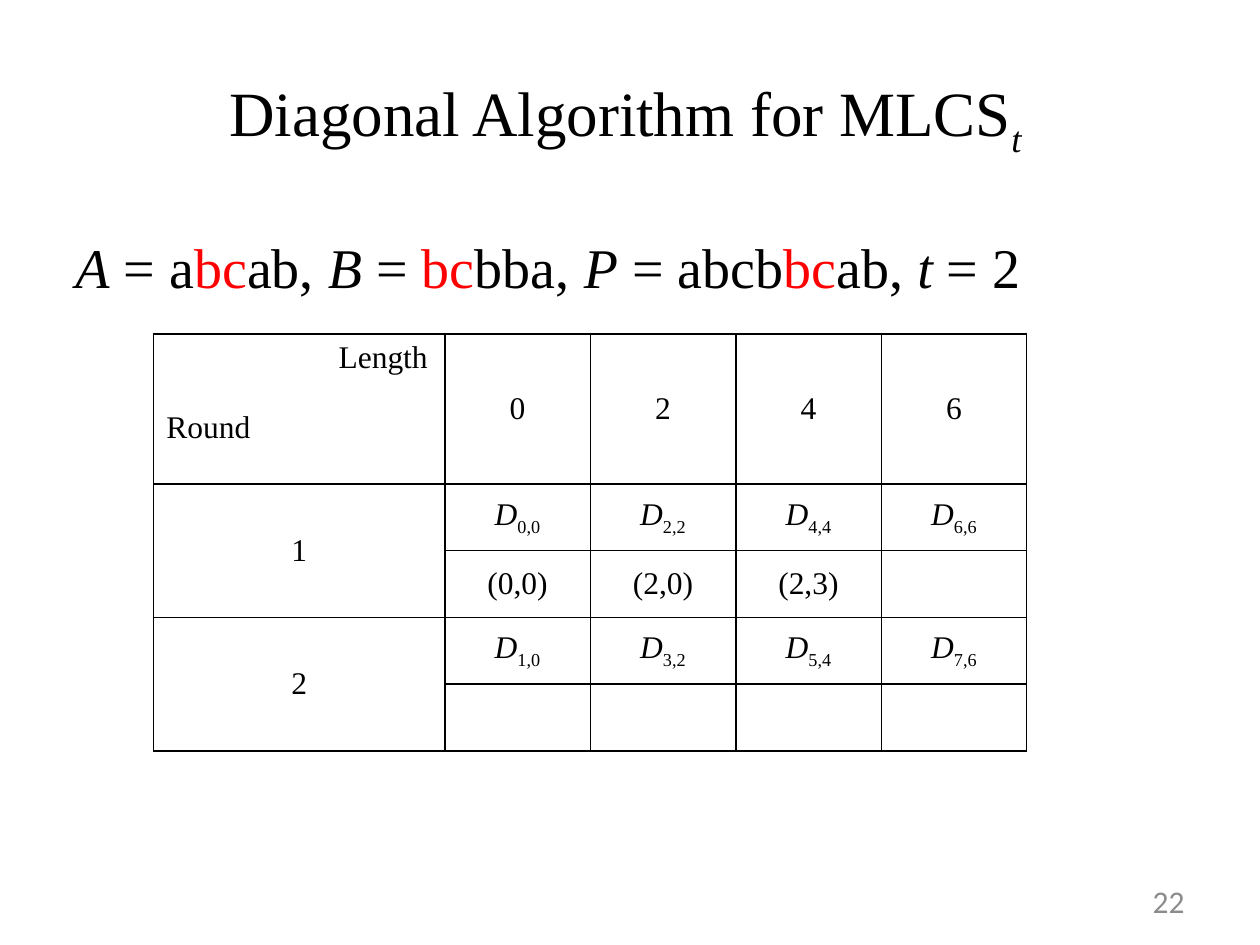
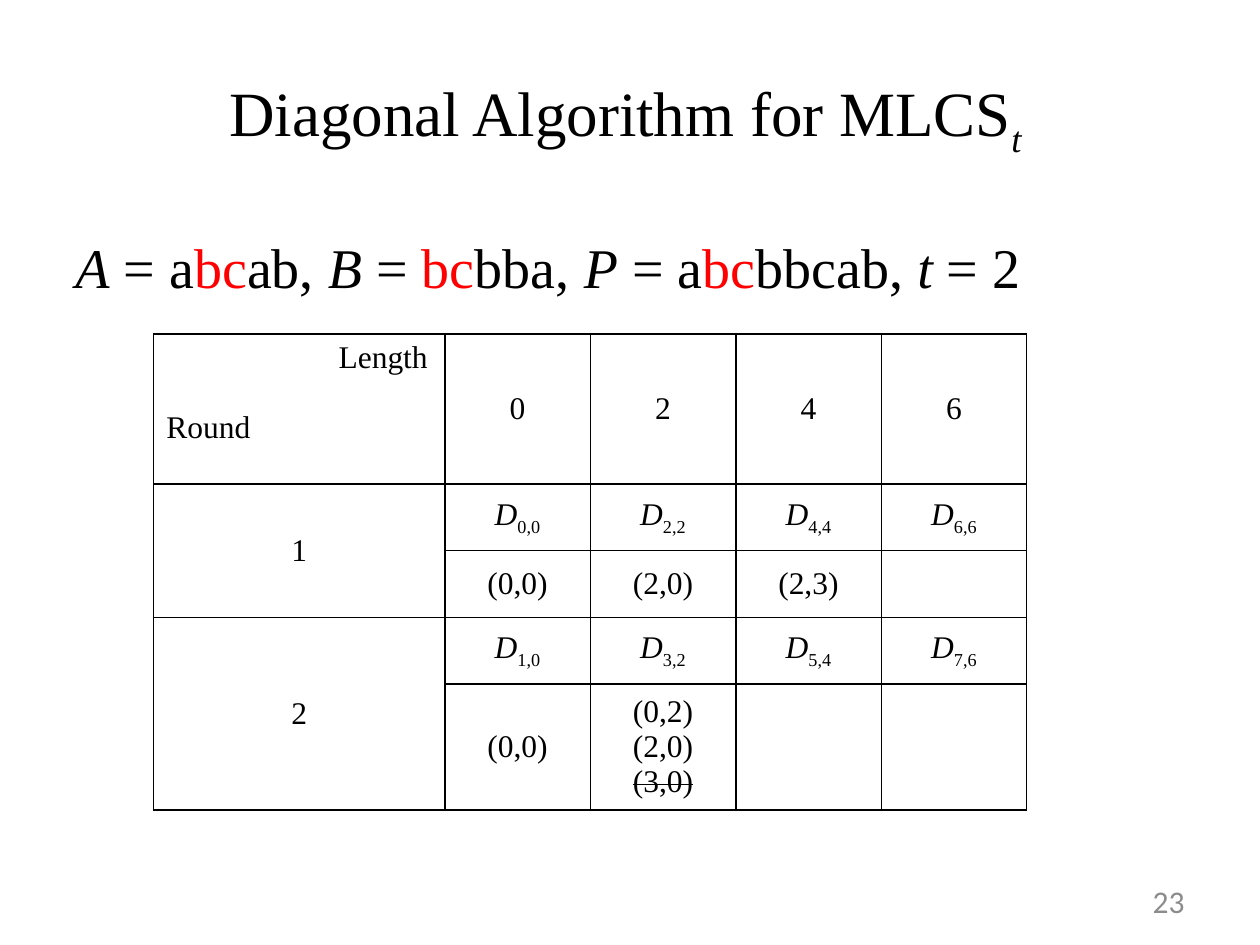
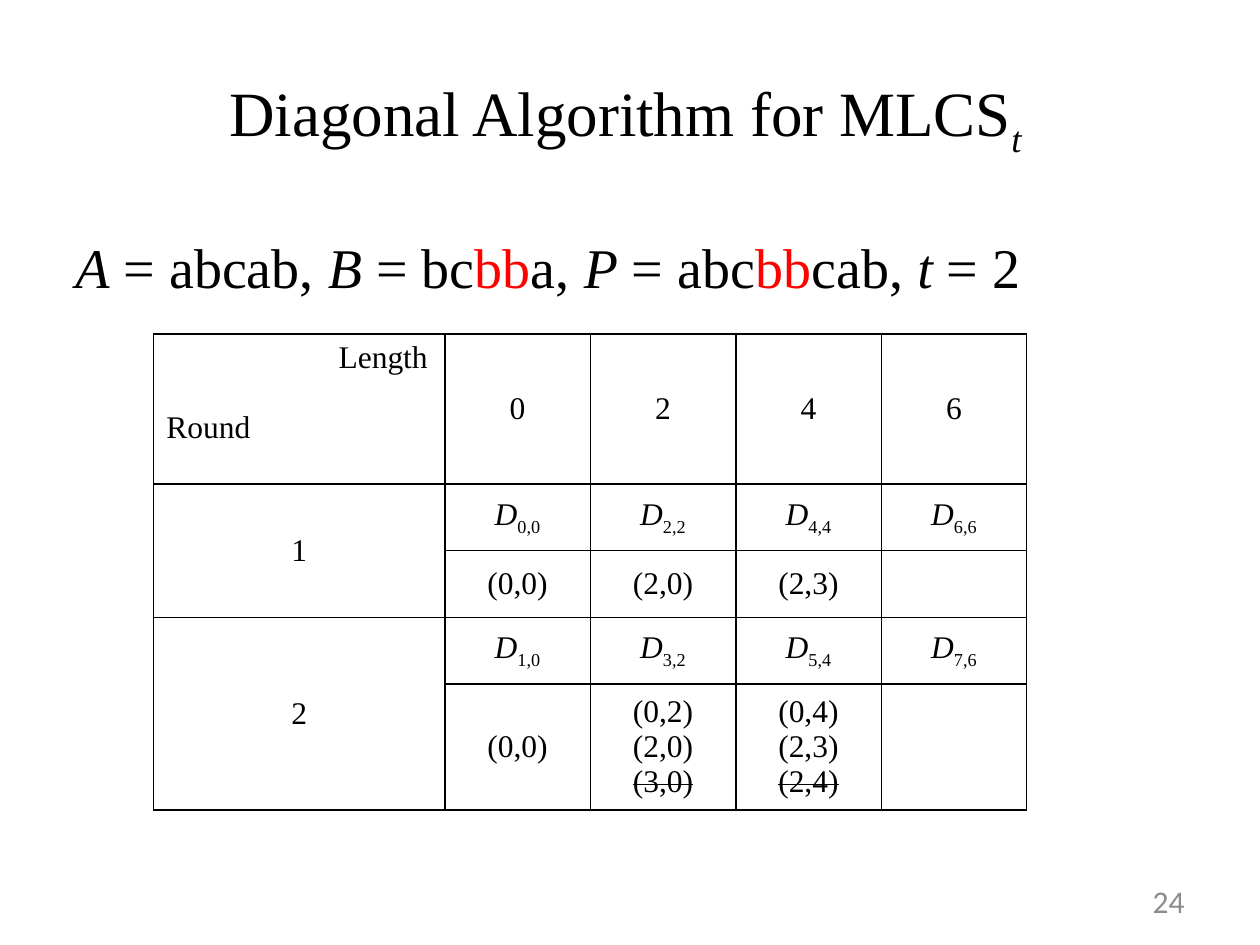
from dataclasses import dataclass

from lxml import etree
from pptx import Presentation
from pptx import util as u
from pptx.dml.color import RGBColor
from pptx.enum import text
from pptx.oxml import ns

Pt = u.Pt


@dataclass(frozen=True)
class Theme:
    serif: str = "Times New Roman"
    sans: str = "Calibri"
    ink: str = "000000"
    match: str = "FF0000"
    muted: str = "8C8C8C"
    title: int = 36
    formula: int = 32
    small: int = 18
    line_height: int = 20
    border: int = 1


THEME = Theme()

# Bars enclose the matched substring; a leading ~ strikes a pair out.
TITLE = ("Diagonal Algorithm for MLCS", "t ")
FIRST_PAGE = 22
LENGTHS = ["0", "2", "4", "6"]
ROUND_1 = [["D_0,0", "D_2,2", "D_4,4", "D_6,6"], ["(0,0)", "(2,0)", "(2,3)", ""]]
ROUND_2_DIAGONALS = ["D_1,0", "D_3,2", "D_5,4", "D_7,6"]
PAIRS_AT_2 = "(0,2) (2,0) ~(3,0)"
PAIRS_AT_4 = "(0,4) (2,3) ~(2,4)"
STEPS = [
    {"strings": {"A": "a|bc|ab", "B": "|bc|bba", "P": "abcb|bc|ab", "t": "2"},
     "round_2": ["", "", "", ""]},
    {"strings": {"A": "a|bc|ab", "B": "|bc|bba", "P": "a|bc|bbcab", "t": "2"},
     "round_2": ["(0,0)", PAIRS_AT_2, "", ""]},
    {"strings": {"A": "abcab", "B": "bc|bb|a", "P": "abc|bb|cab", "t": "2"},
     "round_2": ["(0,0)", PAIRS_AT_2, PAIRS_AT_4, ""]},
]

SLIDE_SIZE = (720, 540)
TITLE_AREA = (36, 21.6, 648, 90)
FORMULA_AREA = (36, 126, 648, 356.4)
NUMBER_AREA = (516.24, 500.4, 167.76, 28.8)
TABLE_ORIGIN = (87.84, 190.8)
LABEL_WIDTH, VALUE_WIDTH = 166.32, 83.16
HEADER_HEIGHT, ROW_HEIGHT = 85.68, 38.16
CELL_PADDING = 7.2  # top and bottom together
FORMULA_TOP = 7
LENGTH_INSET = 9.7

ALIGN = text.PP_ALIGN
MIDDLE = text.MSO_ANCHOR.MIDDLE


def add_span(para, words, size, color=THEME.ink, font=THEME.serif, raw=None, **values):
    """Add a run; raw holds run attributes such as baseline and strike."""
    span = para.add_run()
    span.text = words
    for name, value in {"name": font, "size": Pt(size), **values}.items():
        setattr(span.font, name, value)
    span.font.color.rgb = RGBColor.from_string(color)
    for name, value in (raw or {}).items():
        span._r.get_or_add_rPr().set(name, value)


SUBSCRIPT = {"baseline": "-25000"}
STRIKE = {"strike": "sngStrike"}


def add_box(page, area, align=ALIGN.LEFT, **values):
    frame = page.shapes.add_textbox(*map(Pt, area)).text_frame
    for name, value in {"word_wrap": True, **values}.items():
        setattr(frame, name, value)
    para = frame.paragraphs[0]
    para.alignment = align
    return para


def add_title(page):
    para = add_box(page, TITLE_AREA, ALIGN.CENTER, vertical_anchor=MIDDLE)
    name, index = TITLE
    add_span(para, name, THEME.title)
    add_span(para, index, THEME.title, italic=True, raw=SUBSCRIPT)


def add_formula(page, strings):
    para = add_box(page, FORMULA_AREA, margin_top=Pt(FORMULA_TOP))
    for position, (name, value) in enumerate(strings.items()):
        if position:
            add_span(para, ", ", THEME.formula)
        add_span(para, name, THEME.formula, italic=True)
        add_span(para, " = ", THEME.formula)
        for part, letters in enumerate(value.split("|")):
            if letters:
                color = THEME.match if part % 2 else THEME.ink
                add_span(para, letters, THEME.formula, color)


def add_number(page, number):
    para = add_box(page, NUMBER_AREA, ALIGN.RIGHT, vertical_anchor=MIDDLE)
    add_span(para, str(number), THEME.small, THEME.muted, THEME.sans)


def style_cell(cell):
    cell.fill.background()
    properties = cell._tc.get_or_add_tcPr()
    for position, side in enumerate(("lnL", "lnR", "lnT", "lnB")):
        line = etree.Element(ns.qn(f"a:{side}"), w=str(Pt(THEME.border)))
        fill = etree.SubElement(line, ns.qn("a:solidFill"))
        etree.SubElement(fill, ns.qn("a:srgbClr"), val=THEME.ink)
        properties.insert(position, line)


def fill_cell(cell, content):
    """Write one paragraph per item, with subscripts and struck-out pairs."""
    cell.vertical_anchor = MIDDLE
    for position, item in enumerate(content.split()):
        frame = cell.text_frame
        para = frame.add_paragraph() if position else frame.paragraphs[0]
        para.alignment = ALIGN.CENTER
        base, _, index = item.partition("_")
        raw = STRIKE if base.startswith("~") else None
        add_span(para, base.lstrip("~"), THEME.small, italic=bool(index), raw=raw)
        if index:
            add_span(para, index, THEME.small, raw=SUBSCRIPT)


def fill_corner(cell):
    cell.margin_right = Pt(LENGTH_INSET)
    length = cell.text_frame.paragraphs[0]
    length.alignment = ALIGN.RIGHT
    add_span(length, "Length", THEME.small)
    label = cell.text_frame.add_paragraph()
    label.space_before = Pt(THEME.line_height)
    add_span(label, "Round", THEME.small)


def add_rounds(page, round_2):
    rows = [LENGTHS, *ROUND_1, ROUND_2_DIAGONALS, round_2]
    widths = [LABEL_WIDTH] + [VALUE_WIDTH] * len(LENGTHS)
    heights = [HEADER_HEIGHT]
    for row in rows[1:]:
        lines = max(len(content.split()) for content in row)
        heights.append(max(ROW_HEIGHT, lines * THEME.line_height + CELL_PADDING))
    area = (*TABLE_ORIGIN, sum(widths), sum(heights))
    table = page.shapes.add_table(len(rows), len(widths), *map(Pt, area)).table
    table.first_row = table.horz_banding = False
    for column, width in zip(table.columns, widths):
        column.width = Pt(width)
    for row, height in zip(table.rows, heights):
        row.height = Pt(height)
    for cell in table.iter_cells():
        style_cell(cell)
    fill_corner(table.cell(0, 0))
    for number, top in enumerate((1, 3), start=1):
        table.cell(top, 0).merge(table.cell(top + 1, 0))
        fill_cell(table.cell(top, 0), str(number))
    for r, row in enumerate(rows):
        for c, content in enumerate(row, start=1):
            fill_cell(table.cell(r, c), content)


def main():
    deck = Presentation()
    deck.slide_width, deck.slide_height = map(Pt, SLIDE_SIZE)
    for number, step in enumerate(STEPS, start=FIRST_PAGE):
        page = deck.slides.add_slide(deck.slide_layouts[6])
        add_title(page)
        add_formula(page, step["strings"])
        add_number(page, number)
        add_rounds(page, step["round_2"])
    deck.save("out.pptx")


if __name__ == "__main__":
    main()
